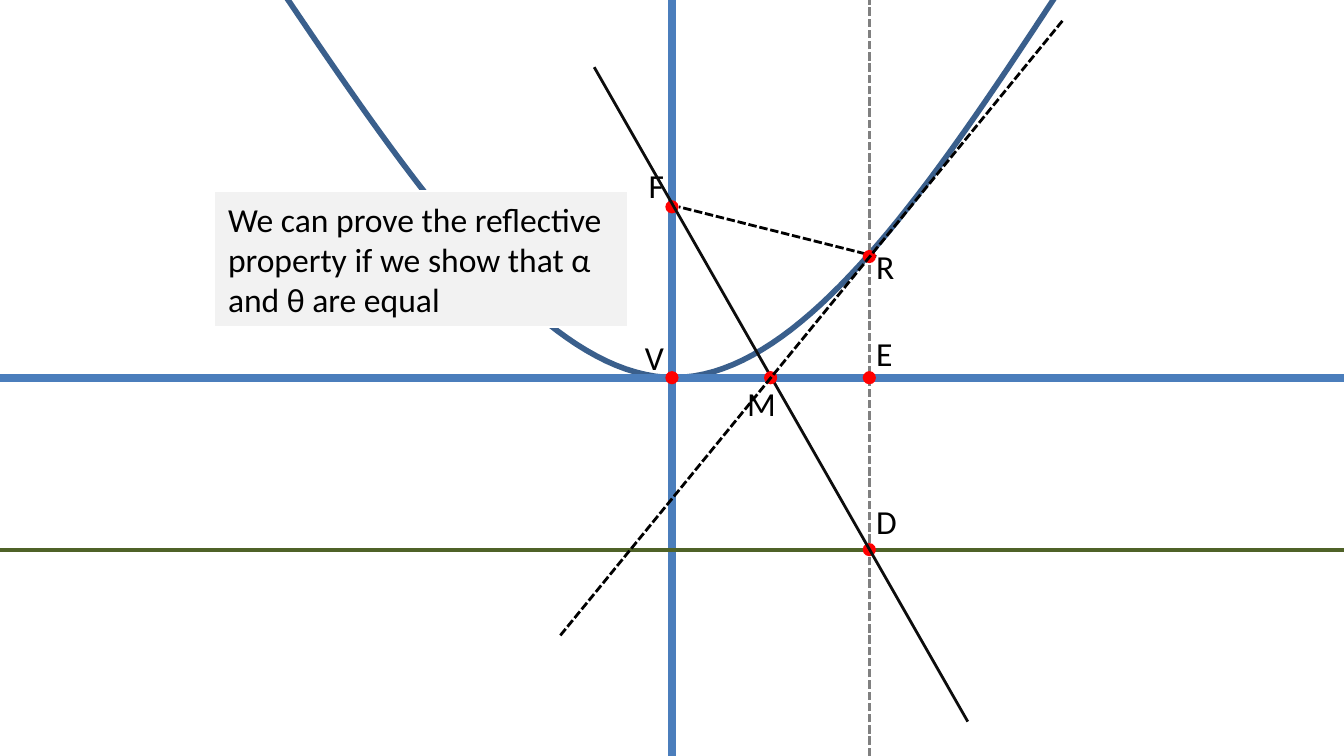
from dataclasses import dataclass

from lxml import etree
from pptx import Presentation
from pptx.dml.color import RGBColor
from pptx.enum.dml import MSO_LINE
from pptx.enum.shapes import MSO_CONNECTOR, MSO_SHAPE
from pptx.enum.text import MSO_ANCHOR, PP_ALIGN
from pptx.oxml.ns import qn
from pptx.util import Cm, Pt

STRAIGHT = MSO_CONNECTOR.STRAIGHT
OVAL, RECTANGLE = MSO_SHAPE.OVAL, MSO_SHAPE.RECTANGLE
DASH = MSO_LINE.SQUARE_DOT
LEFT, MIDDLE = PP_ALIGN.LEFT, MSO_ANCHOR.MIDDLE

WIDTH, HEIGHT = 25.4, 14.29


@dataclass(frozen=True)
class Theme:
    font: str = "Calibri"
    text_size: float = 18
    text: str = "000000"
    axis: str = "4B7EBC"
    curve: str = "3A5F8C"
    directrix: str = "4F6228"
    guide: str = "808080"
    normal: str = "0D0D0D"
    point: str = "FF0000"
    panel: str = "F2F2F2"
    panel_edge: str = "FFFFFF"


def bezier(start, control_1, control_2, end, steps=40):
    """Return points along a cubic curve, leaving out its start."""
    points = []
    for step in range(1, steps + 1):
        t = step / steps
        weights = ((1 - t) ** 3, 3 * t * (1 - t) ** 2, 3 * t * t * (1 - t), t ** 3)
        corners = (start, control_1, control_2, end)
        points.append(tuple(sum(w * corner[axis] for w, corner in zip(weights, corners))
                            for axis in (0, 1)))
    return points


class Diagram:
    """Draws on one page in a given theme; all lengths are centimetres."""

    def __init__(self, page, theme):
        self.shapes = page.shapes
        self.theme = theme

    def stroke(self, shape, color, weight):
        shape.line.color.rgb = RGBColor.from_string(color)
        shape.line.width = Pt(weight)

    def line(self, start, end, color, weight=1.5, dashed=False):
        line = self.shapes.add_connector(STRAIGHT, *map(Cm, (*start, *end)))
        self.stroke(line, color, weight)
        if dashed:
            line.line.dash_style = DASH
        etree.SubElement(line._element.spPr, qn("a:effectLst"))

    def curve(self, points, color, weight):
        corners = [(Cm(x), Cm(y)) for x, y in points]
        builder = self.shapes.build_freeform(*corners[0])
        builder.add_line_segments(corners[1:], close=False)
        curve = builder.convert_to_shape()
        curve.shadow.inherit = False
        curve.fill.background()
        self.stroke(curve, color, weight)

    def point(self, center, size=0.25):
        x, y = center
        dot = self.shapes.add_shape(
            OVAL, Cm(x - size / 2), Cm(y - size / 2), Cm(size), Cm(size))
        dot.shadow.inherit = False
        dot.fill.solid()
        dot.fill.fore_color.rgb = RGBColor.from_string(self.theme.point)
        dot.line.fill.background()

    def set_words(self, frame, words):
        frame.word_wrap = True
        frame.text = words
        para = frame.paragraphs[0]
        para.alignment = LEFT
        for span in para.runs:
            span.font.name = self.theme.font
            span.font.size = Pt(self.theme.text_size)
            span.font.color.rgb = RGBColor.from_string(self.theme.text)

    def label(self, letter, left, top, width=1.98):
        box = self.shapes.add_textbox(Cm(left), Cm(top), Cm(width), Cm(1.02))
        self.set_words(box.text_frame, letter)

    def panel(self, words, left, top, width, height):
        panel = self.shapes.add_shape(RECTANGLE, *map(Cm, (left, top, width, height)))
        panel.shadow.inherit = False
        panel.fill.solid()
        panel.fill.fore_color.rgb = RGBColor.from_string(self.theme.panel)
        self.stroke(panel, self.theme.panel_edge, 0.75)
        panel.text_frame.vertical_anchor = MIDDLE
        self.set_words(panel.text_frame, words)


def draw_reflective_property(diagram):
    theme = diagram.theme
    vertex = (12.7, 7.14)
    focus = (12.7, 3.91)
    reflection = (16.43, 4.85)
    foot = (reflection[0], vertex[1])
    directrix_point = (reflection[0], 10.39)
    midpoint = ((vertex[0] + foot[0]) / 2, vertex[1])

    diagram.line((16.56, 4.85), (12.83, 3.91), theme.text, dashed=True)

    left_end, bottom, right_end = (5.31, -0.2), (12.75, 7.14), (20.09, -0.28)
    parabola = [left_end]
    parabola += bezier(left_end, (7.8, 3.48), (10.29, 7.14), bottom)
    parabola += bezier(bottom, (15.21, 7.11), (17.65, 3.43), right_end)
    diagram.curve(parabola, theme.curve, 3)

    diagram.line((reflection[0], HEIGHT), (reflection[0], 0), theme.guide, dashed=True)
    diagram.label("F", 12.01, 3, 1.07)
    diagram.line((0, vertex[1]), (WIDTH, vertex[1]), theme.axis, 4.5)
    diagram.line((vertex[0], 0), (vertex[0], HEIGHT), theme.axis, 4.5)
    diagram.label("V", 11.94, 6.25, 1.07)
    diagram.line((0, directrix_point[1]), (WIDTH, directrix_point[1]),
                 theme.directrix, 2.25)

    for center in (focus, vertex, reflection, directrix_point):
        diagram.point(center)
    diagram.line((11.23, 1.27), (18.29, 13.64), theme.normal)
    for center in (midpoint, foot):
        diagram.point(center)

    for letter, top in (("R", 4.52), ("D", 9.35), ("E", 6.17)):
        diagram.label(letter, 16.31, top)
    diagram.label("M", 13.87, 7.11)

    diagram.line((10.59, 12.01), (20.09, 0.38), theme.text, dashed=True)
    diagram.panel("We can prove the reflective property if we show that α and θ are equal",
                  4.06, 3.61, 7.8, 2.57)


def main():
    deck = Presentation()
    deck.slide_width, deck.slide_height = Cm(WIDTH), Cm(HEIGHT)
    page = deck.slides.add_slide(deck.slide_layouts.get_by_name("Blank"))
    draw_reflective_property(Diagram(page, Theme()))
    deck.save("out.pptx")


if __name__ == "__main__":
    main()
